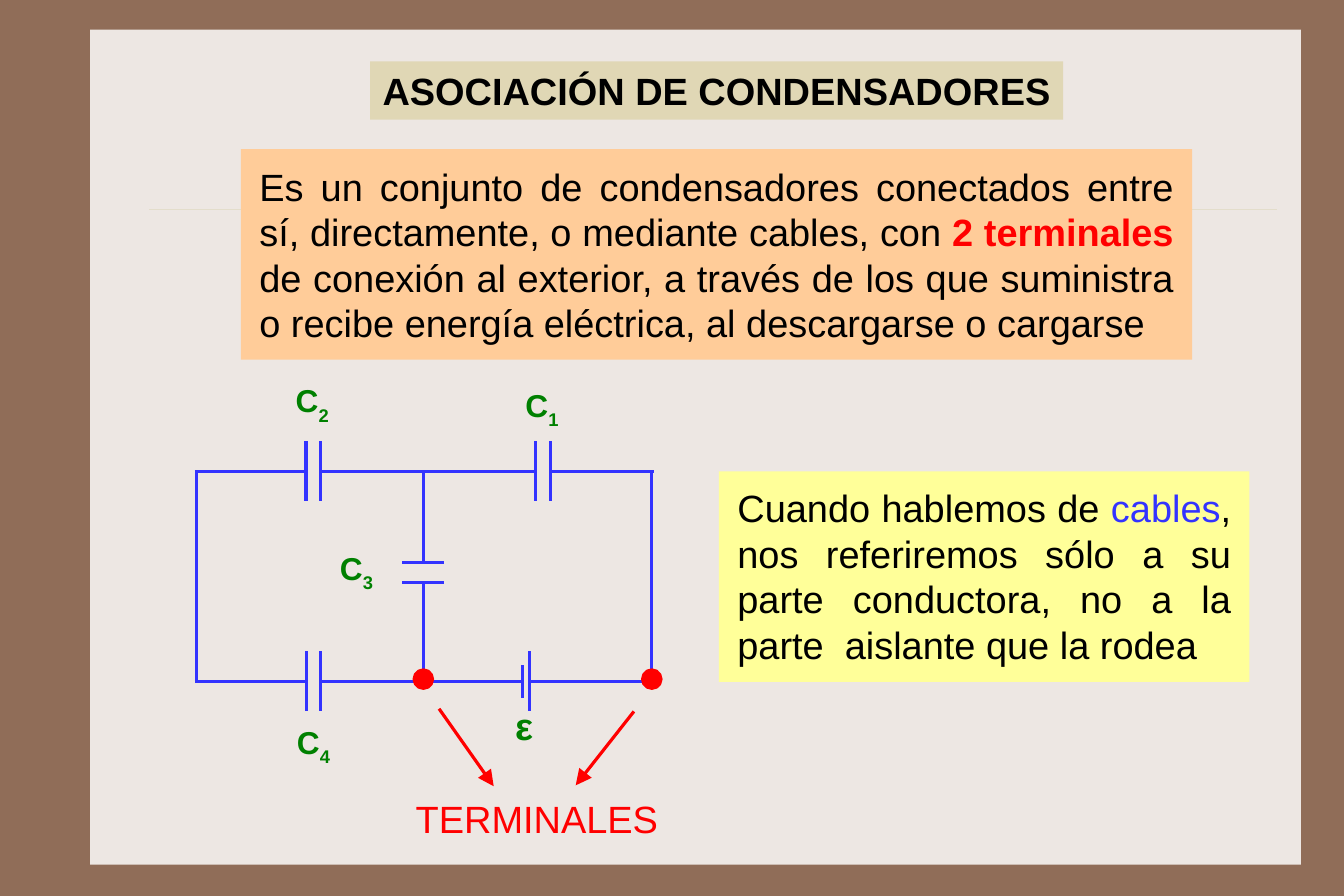
from lxml import etree
from pptx import Presentation
from pptx.dml.color import RGBColor
from pptx.enum.shapes import MSO_CONNECTOR, MSO_SHAPE
from pptx.enum.text import MSO_ANCHOR, PP_ALIGN
from pptx.oxml.ns import qn
from pptx.util import Cm, Pt

STRAIGHT = MSO_CONNECTOR.STRAIGHT
RECTANGLE, OVAL = MSO_SHAPE.RECTANGLE, MSO_SHAPE.OVAL
TOP, MIDDLE = MSO_ANCHOR.TOP, MSO_ANCHOR.MIDDLE
LEFT, CENTER, RIGHT, JUSTIFY = (PP_ALIGN.LEFT, PP_ALIGN.CENTER,
                                PP_ALIGN.RIGHT, PP_ALIGN.JUSTIFY)

THEME = {
    "font": "Arial", "body": 24, "label": 20,
    "wire_width": 2, "rule_width": 0.25,
    "frame": "906D58", "panel": "EDE7E3", "rule": "E3DDCB",
    "title": "E0D7B5", "definition": "FFCC99", "note": "FFFF99",
    "ink": "000000", "wire": "3333FF", "name": "008000", "terminal": "FF0000",
}

# Content: text spans are (text, format); all lengths are in centimetres
INK = {"color": "ink"}
NAME = {"color": "name", "bold": True, "size": "label"}
TEXT_BOXES = [
    {"at": (5.38, 3.33, 21.23, 4.7), "fill": "definition", "align": JUSTIFY,
     "anchor": MIDDLE, "insets": (0.41, 0.3), "spans": [
         ("Es un conjunto de condensadores conectados entre sí, directamente, "
          "o mediante cables, con ", INK),
         ("2 terminales", {"color": "terminal", "bold": True}),
         (" de conexión al exterior, a través de los que suministra o recibe "
          "energía eléctrica, al descargarse o cargarse", INK)]},
    {"at": (8.26, 1.37, 15.47, 1.3), "fill": "title", "align": CENTER,
     "anchor": MIDDLE, "insets": (0, 0), "spans": [
         ("ASOCIACIÓN DE CONDENSADORES", {"color": "ink", "bold": True})]},
    {"at": (16.05, 10.52, 11.84, 4.7), "fill": "note", "align": JUSTIFY,
     "anchor": TOP, "insets": (0.41, 0.3), "spans": [
         ("Cuando hablemos de ", INK),
         ("cables", {"color": "wire"}),
         (", nos referiremos sólo a su parte conductora, no a la parte  "
          "aislante que la rodea", INK)]},
    {"at": (9, 17.53, 5.94, 1.3), "align": RIGHT, "anchor": TOP,
     "insets": (0.25, 0.23), "spans": [("TERMINALES", {"color": "terminal"})]},
    {"at": (11.25, 15.67, 0.94, 1.02), "align": LEFT, "anchor": MIDDLE,
     "insets": (0.25, 0.13), "spans": [("ε", {"color": "name", "bold": True})]},
]
CAPACITOR_LABELS = {"1": (11.48, 8.48), "2": (6.35, 8.38),
                    "3": (7.34, 12.12), "4": (6.38, 16)}

# Circuit geometry
WEST, CENTRE, EAST = 4.39, 9.45, 14.55
NORTH, SOUTH = 10.52, 15.21
CORNER = 0.04
PLATE = 0.67
# Each part: (centre x, half gap, half of left plate, half of right plate)
ROWS = {
    NORTH: [(6.99, 0.16, PLATE, PLATE), (12.12, 0.16, PLATE, PLATE)],
    SOUTH: [(7, 0.16, PLATE, PLATE), (11.74, 0.08, 0.36, PLATE)],
}
C3_Y, C3_GAP, C3_PLATE = 12.78, 0.23, 0.47
DOT_Y, DOT_SIZE = 15.16, 0.41
ARROWS = [(14.15, 15.88, 12.85, 17.53), (9.8, 15.82, 11.02, 17.55)]


def color(key):
    return RGBColor.from_string(THEME[key])


def add_line(page, ends, key="wire", width="wire_width", arrow=False):
    line = page.shapes.add_connector(STRAIGHT, *[Cm(v) for v in ends])
    line.line.color.rgb = color(key)
    line.line.width = Pt(THEME[width])
    properties = line._element.spPr
    if arrow:
        etree.SubElement(properties.find(qn("a:ln")), qn("a:tailEnd"),
                         type="triangle", w="lg", len="lg")
    etree.SubElement(properties, qn("a:effectLst"))


def add_block(page, kind, at, fill, outline=False):
    block = page.shapes.add_shape(kind, *[Cm(v) for v in at])
    block.shadow.inherit = False
    block.fill.solid()
    block.fill.fore_color.rgb = color(fill)
    if outline:
        block.line.color.rgb = color(fill)
        block.line.width = Pt(THEME["wire_width"])
    else:
        block.line.fill.background()
    return block


def add_text(page, at, spans, align, anchor, insets, fill=None):
    if fill:
        box = add_block(page, RECTANGLE, at, fill)
    else:
        box = page.shapes.add_textbox(*[Cm(v) for v in at])
    side, edge = [Cm(v) for v in insets]
    frame = box.text_frame
    settings = {"word_wrap": True, "vertical_anchor": anchor,
                "margin_left": side, "margin_right": side,
                "margin_top": edge, "margin_bottom": edge}
    for name, value in settings.items():
        setattr(frame, name, value)
    para = frame.paragraphs[0]
    para.alignment = align
    for text, style in spans:
        span = para.add_run()
        span.text = text
        font = {"name": THEME["font"], "size": Pt(THEME[style.get("size", "body")]),
                "bold": style.get("bold", False)}
        for name, value in font.items():
            setattr(span.font, name, value)
        span.font.color.rgb = color(style["color"])
        if "baseline" in style:
            span.font._element.set("baseline", style["baseline"])


def draw_circuit(page):
    # Horizontal branches: wires between parts, then the plates
    for y, parts in ROWS.items():
        start = WEST - CORNER
        for x, gap, left_plate, right_plate in parts:
            add_line(page, (start, y, x - gap, y))
            for plate_x, half in ((x - gap, left_plate), (x + gap, right_plate)):
                add_line(page, (plate_x, y - half, plate_x, y + half))
            start = x + gap
        add_line(page, (start, y, EAST + CORNER, y))
    # Vertical branches
    for x in (WEST, EAST):
        add_line(page, (x, NORTH, x, SOUTH))
    for plate_y, end in ((C3_Y - C3_GAP, NORTH), (C3_Y + C3_GAP, SOUTH)):
        add_line(page, (CENTRE, plate_y, CENTRE, end))
        add_line(page, (CENTRE - C3_PLATE, plate_y, CENTRE + C3_PLATE, plate_y))
    # Capacitor names
    for number, (x, y) in CAPACITOR_LABELS.items():
        spans = [("C", NAME), (number, {**NAME, "baseline": "-30000"})]
        add_text(page, (x, y, 1.4, 1.3), spans, LEFT, TOP, (0.25, 0.13))
    # Terminals
    for x in (CENTRE, EAST):
        at = (x - DOT_SIZE / 2, DOT_Y - DOT_SIZE / 2, DOT_SIZE, DOT_SIZE)
        add_block(page, OVAL, at, "terminal", outline=True)
    for ends in ARROWS:
        add_line(page, ends, "terminal", arrow=True)


def main():
    deck = Presentation()
    deck.slide_width, deck.slide_height = Cm(30), Cm(20)
    page = deck.slides.add_slide(deck.slide_layouts[6])
    # Backdrop
    page.background.fill.solid()
    page.background.fill.fore_color.rgb = color("frame")
    add_block(page, RECTANGLE, (2.01, 0.66, 27.03, 18.64), "panel")
    add_line(page, (3.33, 4.67, 28.5, 4.67), "rule", "rule_width")
    # Diagram and texts
    draw_circuit(page)
    for content in TEXT_BOXES:
        add_text(page, **content)
    deck.save("out.pptx")


if __name__ == "__main__":
    main()
